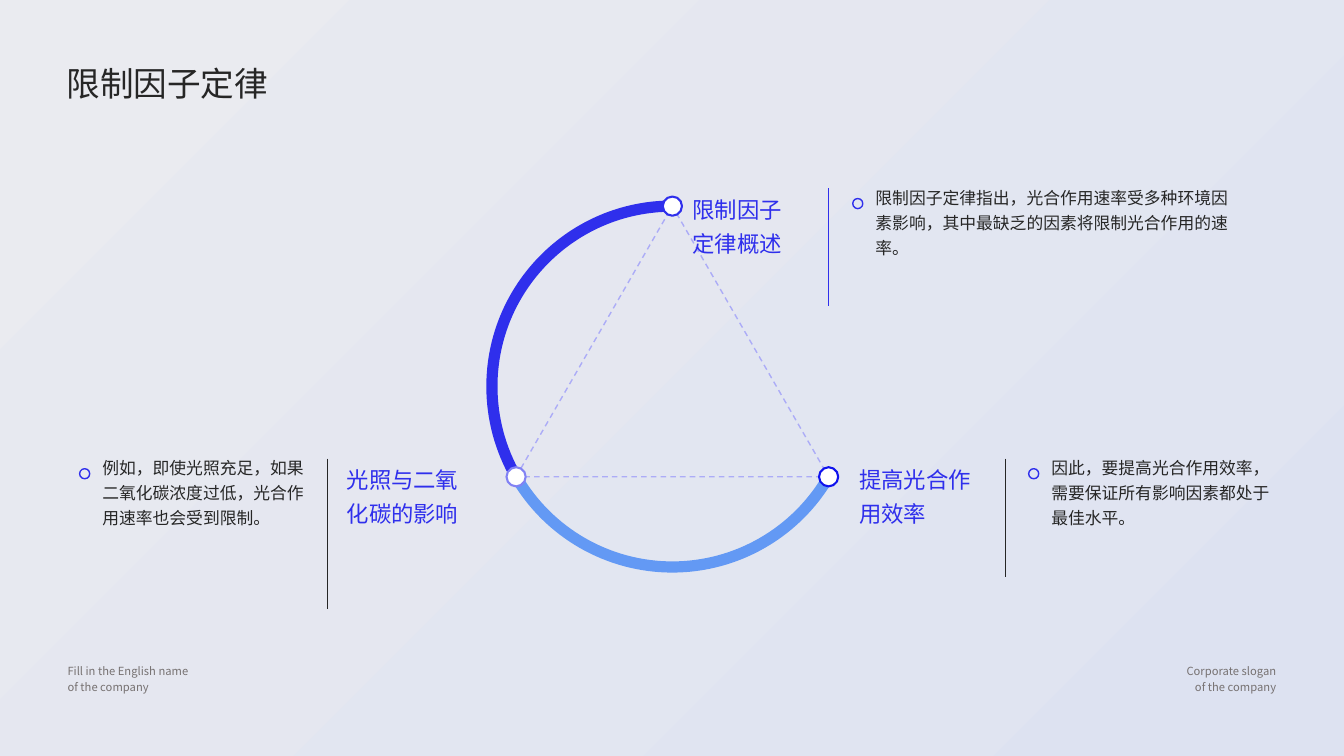
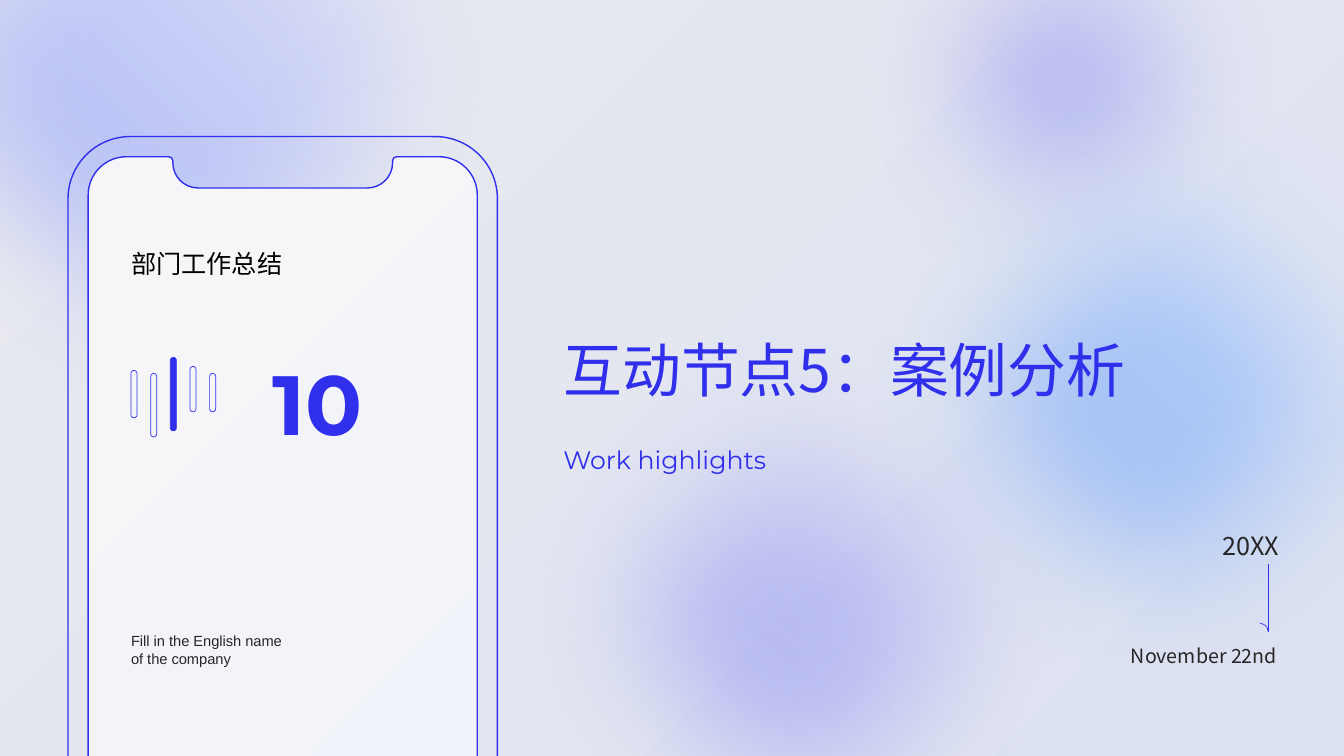
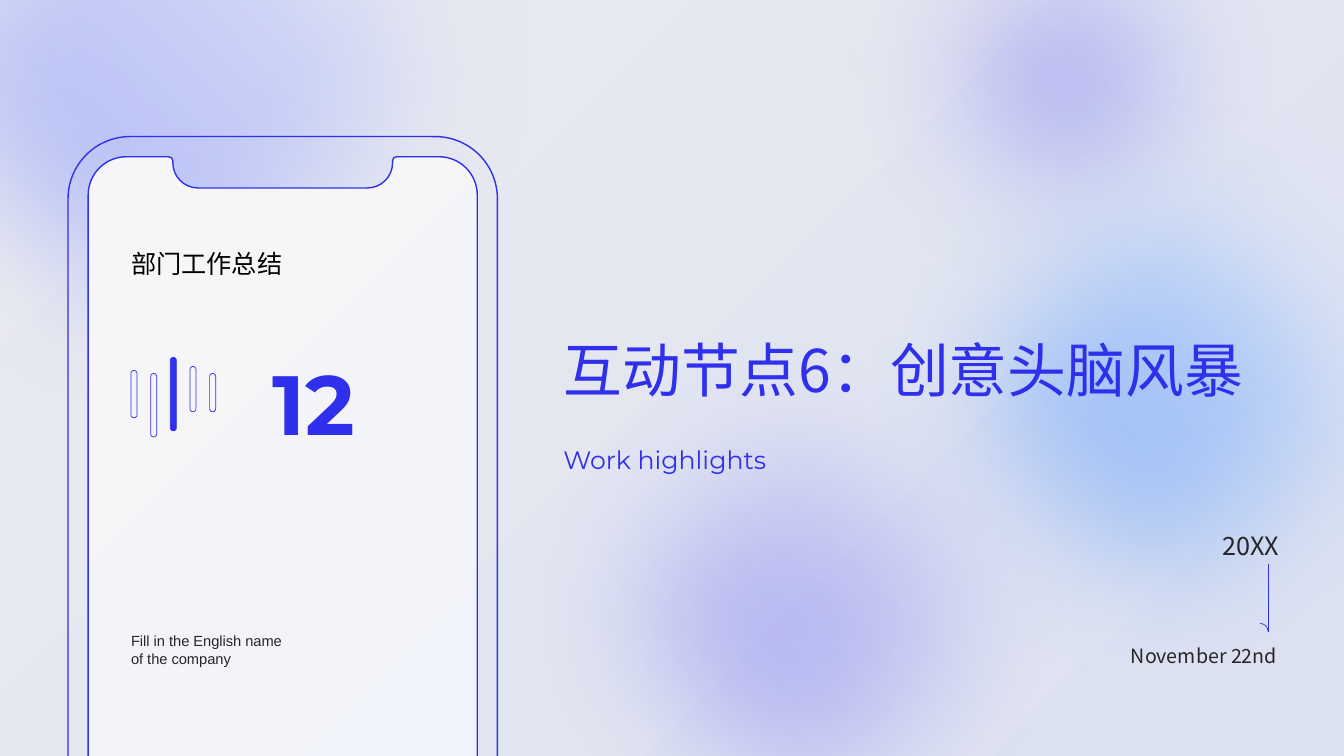
import collections
import itertools
import math

import lxml.etree
import pptx
import pptx.dml.color
import pptx.enum.dml
import pptx.enum.shapes
import pptx.enum.text
import pptx.oxml.ns
import pptx.util

RGB = pptx.dml.color.RGBColor
SHAPE = pptx.enum.shapes.MSO_SHAPE
ALIGN = pptx.enum.text.PP_ALIGN
ANCHOR = pptx.enum.text.MSO_ANCHOR
qn = pptx.oxml.ns.qn

BLUE = RGB(0x2F, 0x2F, 0xEC)
NODE_BLUE = RGB(0x10, 0x13, 0xED)
NODE_LILAC = RGB(0x82, 0x82, 0xF4)
LILAC = RGB(0xAC, 0xAC, 0xF7)
SKY = RGB(0x63, 0x99, 0xF4)
PERIWINKLE = RGB(0x83, 0x93, 0xF7)
PALE_LILAC = RGB(0xD5, 0xD5, 0xFB)
PALE_SKY = RGB(0xE0, 0xEB, 0xFD)
PALE_PERIWINKLE = RGB(0xE6, 0xE9, 0xFD)
BACK_START = RGB(0xEA, 0xEB, 0xF0)
BACK_END = RGB(0xDD, 0xE2, 0xF1)
SCREEN_START = RGB(0xF6, 0xF6, 0xF8)
SCREEN_END = RGB(0xF0, 0xF3, 0xF9)
INK = RGB(0x26, 0x26, 0x26)
GREY = RGB(0x76, 0x71, 0x71)
BLACK = RGB(0, 0, 0)
WHITE = RGB(255, 255, 255)

CJK = "Noto Sans CJK SC"
DISPLAY = "Montserrat"
SANS = "Arial"

SLIDE_W, SLIDE_H = pptx.util.Inches(13.333), pptx.util.Inches(7.5)
CELL = SLIDE_H / 75
COLS, ROWS = 133.33, 75
MARGIN = 6.7

Box = collections.namedtuple("Box", "x y w h")
Callout = collections.namedtuple("Callout", "heading text body heading_x heading_w rule_x rule_h rule_color")
Glow = collections.namedtuple("Glow", "box start start_alpha end end_alpha")

PAGE = Box(0, 0, COLS, ROWS)

CALLOUTS = [
    Callout("光照与二氧化碳的影响", "例如，即使光照充足，如果二氧化碳浓度过低，光合作用速率也会受到限制。",
            Box(10.15, 44.9, 20.8, 7.5), 34.4, 11.3, 32.5, 14.9, INK),
    Callout("提高光合作用效率", "因此，要提高光合作用效率，需要保证所有影响因素都处于最佳水平。",
            Box(104.3, 44.9, 22.4, 7.5), 85.25, 11.6, 99.75, 11.7, INK),
    Callout("限制因子定律概述", "限制因子定律指出，光合作用速率受多种环境因素影响，其中最缺乏的因素将限制光合作用的速率。",
            Box(86.85, 18.1, 35.1, 7.5), 68.7, 10.1, 82.2, 11.7, BLUE),
]
GLOWS = [
    Glow(Box(47.1, 26.2, 67.4, 67.4), BLUE, 55, PALE_LILAC, 25),
    Glow(Box(78.4, -21.6, 57, 57), BLUE, 55, PALE_LILAC, 43),
    Glow(Box(81, 4.1, 69.4, 69.4), SKY, 76, PALE_SKY, 100),
    Glow(Box(-22.1, -33.7, 79.4, 79.4), PERIWINKLE, 100, PALE_PERIWINKLE, 37),
]
WAVE_BARS = [(1.3, 4.7), (1.6, 6.3), (0, 7.3), (0.9, 4.5), (1.6, 3.8)]
SECTIONS = [("互动节点5：案例分析", "10"), ("互动节点6：创意头脑风暴", "12")]


def emu(*cells):
    """Convert grid cells to whole EMU."""
    return [pptx.util.Emu(round(c * CELL)) for c in cells]


def paint_gradient(fill, start, end, angle):
    """Fill with two colours, angle counted counter-clockwise."""
    fill.gradient()
    fill.gradient_angle = angle
    for stop, color in zip(fill.gradient_stops, (start, end)):
        stop.color.rgb = color


def dress(sp, fill=None, line=None, width=1):
    """Give a shape its plain fill and outline, without shadow."""
    sp.shadow.inherit = False
    if fill is None:
        sp.fill.background()
    else:
        sp.fill.solid()
        sp.fill.fore_color.rgb = fill
    if line is None:
        sp.line.fill.background()
    else:
        sp.line.color.rgb = line
        sp.line.width = pptx.util.Pt(width)
    return sp


def add_preset(s, kind, box, **look):
    """Add a preset shape in a box."""
    return dress(s.shapes.add_shape(kind, *emu(*box)), **look)


def add_dot(s, x, y, size, **look):
    """Add a circle around a centre."""
    return add_preset(s, SHAPE.OVAL, Box(x - size / 2, y - size / 2, size, size), **look)


def bend_points(x, y, radius, start, end):
    """List the four Bezier points of an arc of at most a quarter turn."""
    a, b = math.radians(start), math.radians(end)
    reach = 4 / 3 * math.tan((b - a) / 4)
    rim = [(math.cos(a), math.sin(a)), (math.cos(a) - reach * math.sin(a), math.sin(a) + reach * math.cos(a)),
           (math.cos(b) + reach * math.sin(b), math.sin(b) - reach * math.cos(b)), (math.cos(b), math.sin(b))]
    return [(x + radius * u, y + radius * v) for u, v in rim]


def add_curve(s, bends, close=False, **look):
    """Add an outline of round bends joined by straight lines."""
    points = itertools.chain.from_iterable(bend_points(*bend) for bend in bends)
    first, *rest = [emu(*point) for point in points]
    builder = s.shapes.build_freeform(*first)
    builder.add_line_segments(rest, close=close)
    sp = dress(builder.convert_to_shape(), **look)
    steps = list(sp._element.iter(qn("a:lnTo")))
    for i in range(0, len(steps), 4):
        curve = lxml.etree.Element(qn("a:cubicBezTo"))
        steps[i].addprevious(curve)
        for step in steps[i:i + 3]:
            curve.append(step[0])
            step.getparent().remove(step)
    return sp


def add_arc(s, x, y, radius, angles, color, width):
    """Add a clockwise arc around a centre through the given angles."""
    bends = [(x, y, radius, start, end) for start, end in itertools.pairwise(angles)]
    add_curve(s, bends, line=color, width=width)


def add_rule(s, x, y, height, color):
    """Add a thin vertical line."""
    line = s.shapes.add_connector(pptx.enum.shapes.MSO_CONNECTOR.STRAIGHT, *emu(x, y, x, y + height))
    line.line.color.rgb = color
    line.line.width = pptx.util.Pt(0.5)
    props = line._element.find(qn("p:spPr"))
    lxml.etree.SubElement(props, qn("a:effectLst"))


def add_text(s, box, lines, size, color=INK, font=CJK, spacing=None, align=ALIGN.LEFT,
             anchor=ANCHOR.TOP, wrap=True, bold=False):
    """Add text without insets, one paragraph for each line."""
    tf = s.shapes.add_textbox(*emu(*box)).text_frame
    tf.margin_left = tf.margin_right = tf.margin_top = tf.margin_bottom = 0
    tf.word_wrap = wrap
    tf.vertical_anchor = anchor
    tf.text = lines
    for p in tf.paragraphs:
        p.alignment = align
        p.line_spacing = spacing
        p.font.size = pptx.util.Pt(size)
        p.font.bold = bold
        p.font.name = font
        p.font.color.rgb = color
        for props in p._p.iter(qn("a:defRPr")):
            lxml.etree.SubElement(props, qn("a:ea"), typeface=font)


def draw_backdrop(s, box):
    """Cover the box with the diagonal gradient."""
    sp = add_preset(s, SHAPE.RECTANGLE, box)
    paint_gradient(sp.fill, BACK_START, BACK_END, 315)
    return sp


def add_slide(prs):
    """Add a blank slide."""
    return prs.slides.add_slide(prs.slide_layouts[6])


def draw_footers(s, box):
    """Place the company name and slogan at the foot of the box."""
    foot = Box(box.x + MARGIN, box.y + box.h - 9.35, 12.7, 3.2)
    add_text(s, foot, "Fill in the English name\nof the company", 8, GREY, spacing=1.2, wrap=False)
    add_text(s, foot._replace(x=box.x + box.w - MARGIN - 9.3, w=9.3), "Corporate slogan\nof the company",
             8, GREY, spacing=1.2, align=ALIGN.RIGHT, wrap=False)


def draw_cycle(s, box):
    """Draw the two arcs, the dashed triangle and its nodes in a square box."""
    radius = box.w / 2
    x, y = box.x + radius, box.y + radius
    nodes = [(x + radius * math.cos(math.radians(a)), y + radius * math.sin(math.radians(a)))
             for a in (150, 30, 270)]
    (left, base), (right, _), (_, top) = nodes
    triangle = add_preset(s, SHAPE.ISOSCELES_TRIANGLE, Box(left, top, right - left, base - top), line=LILAC)
    triangle.line.dash_style = pptx.enum.dml.MSO_LINE.DASH
    add_arc(s, x, y, radius, (150, 180, 270), BLUE, 8)
    add_arc(s, x, y, radius, (30, 90, 150), SKY, 8)
    for node, color in zip(nodes, (NODE_LILAC, NODE_BLUE, BLUE)):
        add_dot(s, *node, 1.9, fill=WHITE, line=color, width=1.5)


def draw_callout(s, c):
    """Place heading, rule and bulleted text beside the body box."""
    x, y = c.body.x, c.body.y
    add_text(s, Box(c.heading_x, y + 0.7, c.heading_w, 6.2), c.heading, 16, BLUE, spacing=1.25)
    add_text(s, c.body, c.text, 12, spacing=1.25)
    add_dot(s, x - 1.75, y + 2.1, 1, line=BLUE)
    add_rule(s, c.rule_x, y + 0.6, c.rule_h, c.rule_color)


def draw_glow(s, glow):
    """Draw a soft-edged, partly transparent disc."""
    sp = add_preset(s, SHAPE.OVAL, glow.box)
    paint_gradient(sp.fill, glow.start, glow.end, 45)
    props = sp._element.spPr
    for color, alpha in zip(props.iter(qn("a:srgbClr")), (glow.start_alpha, glow.end_alpha)):
        lxml.etree.SubElement(color, qn("a:alpha"), val=str(alpha * 1000))
    lxml.etree.SubElement(props.find(qn("a:effectLst")), qn("a:softEdge"), rad=str(pptx.util.Pt(100)))


def draw_screen(s, box):
    """Draw the phone screen with its notch."""
    w, h, r = box.w, box.h, 3.8
    bends = [
        (r, r, r, 180, 270), (8, 0.4, 0.4, 270, 360), (10.9, 0.6, 2.5, 180, 90),
        (w - 10.9, 0.6, 2.5, 90, 0), (w - 8, 0.4, 0.4, 180, 270), (w - r, r, r, 270, 360),
        (w - r, h - r, r, 0, 90), (r, h - r, r, 90, 180),
    ]
    placed = [(box.x + x, box.y + y, *turn) for x, y, *turn in bends]
    sp = add_curve(s, placed, close=True, line=BLUE)
    paint_gradient(sp.fill, SCREEN_START, SCREEN_END, 315)


def draw_wave(s, x, y):
    """Draw five sound bars, the middle one solid."""
    for i, (drop, height) in enumerate(WAVE_BARS):
        bar = add_preset(s, SHAPE.ROUNDED_RECTANGLE, Box(x + 1.95 * i, y + drop, 0.6, height),
                         fill=BLUE if i == 2 else None, line=BLUE, width=0.5)
        bar.adjustments[0] = 0.5


def draw_phone(s, box, number):
    """Draw the phone and what its screen shows."""
    case = add_preset(s, SHAPE.ROUNDED_RECTANGLE, box, line=BLUE)
    case.adjustments[0] = 0.145
    draw_screen(s, Box(box.x + 2, box.y + 2, box.w - 4, box.h - 4))
    x, y = box.x + 6.25, box.y
    draw_wave(s, x, y + 21.9)
    add_text(s, Box(x, y + 10.35, 15.1, 3.5), "部门工作总结", 18, BLACK, spacing=1.25, wrap=False)
    add_text(s, Box(x, y + 49.15, 30.9, 3.5), "Fill in the English name\nof the company", 10.5, font=SANS)
    add_text(s, Box(x + 14, y + 19.35, 15.4, 14), number, 60, BLUE, DISPLAY,
             anchor=ANCHOR.MIDDLE, wrap=False, bold=True)


def draw_date(s, box):
    """Place year, hooked line and day at the right of the box."""
    add_text(s, Box(box.x + box.w - 21.9, box.y, 22.1, 3), "20XX", 18, align=ALIGN.RIGHT)
    add_text(s, Box(box.x, box.y + 11.3, box.w, 2.4), "November 22nd", 14, align=ALIGN.RIGHT)
    x, y = box.x + box.w - 0.9, box.y + 3.35
    add_rule(s, x, y, 6.7, BLUE)
    add_arc(s, x - 0.8, y + 6.7, 0.8, (270, 360), BLUE, 0.5)


def build_diagram(prs):
    """Build the slide with the three-node cycle."""
    s = add_slide(prs)
    draw_footers(s, PAGE)
    draw_cycle(s, Box(48.8, 20.45, 35.8, 35.8))
    for callout in CALLOUTS:
        draw_callout(s, callout)
    add_text(s, Box(MARGIN - 0.1, 6.2, COLS - 2 * MARGIN, 4), "限制因子定律", 24, anchor=ANCHOR.BOTTOM)
    return s


def build_section(prs, title, number):
    """Build a section slide with the phone."""
    s = add_slide(prs)
    draw_backdrop(s, PAGE)
    for glow in GLOWS:
        draw_glow(s, glow)
    draw_phone(s, Box(6.75, 13.55, 42.6, 87.6), number)
    add_text(s, Box(55.9, 44.1, 44.5, 13.5), "Work highlights", 18, BLUE, DISPLAY, wrap=False)
    draw_date(s, Box(87.7, 52.6, 39, 13.7))
    add_text(s, Box(55.9, 19.4, 74, 20.7), title, 42, BLUE, spacing=1.5, anchor=ANCHOR.BOTTOM, wrap=False)


def main():
    """Build and save the presentation."""
    prs = pptx.Presentation()
    prs.slide_width, prs.slide_height = SLIDE_W, SLIDE_H
    s = build_diagram(prs)
    s.slide_layout.shapes.element.append(draw_backdrop(s, PAGE).element)
    for title, number in SECTIONS:
        build_section(prs, title, number)
    prs.save("out.pptx")


if __name__ == "__main__":
    main()
